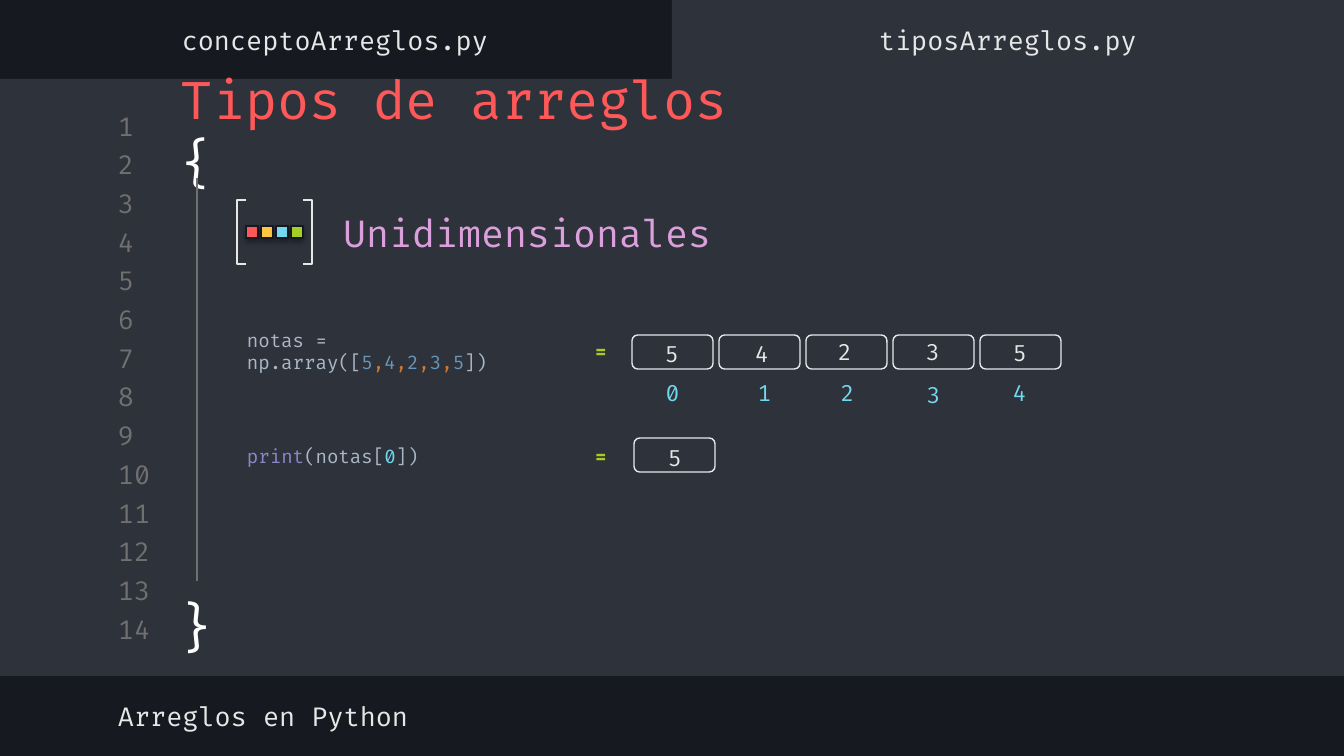
"""Builds a code-editor style slide on one-dimensional arrays in Python."""
from lxml import etree
from pptx import Presentation
from pptx.dml.color import RGBColor
from pptx.enum.shapes import MSO_CONNECTOR, MSO_SHAPE
from pptx.enum.text import MSO_ANCHOR, PP_ALIGN
from pptx.oxml.ns import qn
from pptx.util import Pt

RECT = MSO_SHAPE.RECTANGLE
CELL = MSO_SHAPE.FLOWCHART_ALTERNATE_PROCESS
OPEN, CLOSE = MSO_SHAPE.LEFT_BRACKET, MSO_SHAPE.RIGHT_BRACKET
LINE = MSO_CONNECTOR.STRAIGHT
LEFT, MID = PP_ALIGN.LEFT, PP_ALIGN.CENTER
TOP, HALF = MSO_ANCHOR.TOP, MSO_ANCHOR.MIDDLE
SCALE = 914400 / 134.4
FONT = "Fira Code"
HUES = {
    "dark": "16191F", "panel": "2E323B", "gray": "707070", "white": "FFFFFF",
    "pale": "E7E7E7", "edge": "E3E9ED", "red": "FF5858", "gold": "FCC642",
    "cyan": "72D9F0", "green": "A5CF27", "pink": "DBA0DB", "code": "A9B7C6",
    "num": "6897BB", "comma": "CC7832", "call": "8888C6",
}


def px(*nums):
    return [round(n * SCALE) for n in nums]


def hue(name):
    return RGBColor.from_string(HUES[name])


def write(frame, runs, size=14, color="pale", bold=False, align=LEFT,
          anchor=HALF, pad=13):
    frame.word_wrap = True
    frame.vertical_anchor = anchor
    frame.margin_left, frame.margin_right = px(13, 13)
    frame.margin_top, frame.margin_bottom = px(pad, pad)
    para = frame.paragraphs[0]
    para.alignment = align
    if isinstance(runs, str):
        runs = [(runs, color)]
    for text, tint in runs:
        run = para.add_run()
        run.text = text
        font = run.font
        font.name, font.size, font.bold = FONT, Pt(size), bold
        font.color.rgb = hue(tint)


class Pen:
    def __init__(self, slide):
        self.slide = slide
        self.shapes = slide.shapes

    def back(self, color):
        fill = self.slide.background.fill
        fill.solid()
        fill.fore_color.rgb = hue(color)

    def shape(self, kind, *box, fill=None, line=None, width=0.75):
        item = self.shapes.add_shape(kind, *px(*box))
        item.shadow.inherit = False
        if fill:
            item.fill.solid()
            item.fill.fore_color.rgb = hue(fill)
        else:
            item.fill.background()
        if line:
            item.line.color.rgb = hue(line)
            item.line.width = Pt(width)
        else:
            item.line.fill.background()
        return item

    def block(self, *box, fill):
        item = self.shape(RECT, *box, fill=fill, line="dark", width=1)
        effect = item.element.spPr.find(qn("a:effectLst"))
        cast = etree.SubElement(effect, qn("a:outerShdw"), blurRad="39370",
                                dist="20320", dir="5400000", rotWithShape="0")
        tint = etree.SubElement(cast, qn("a:srgbClr"), val="000000")
        etree.SubElement(tint, qn("a:alpha"), val="38000")

    def bracket(self, kind, *box):
        self.shape(kind, *box, line="pale").adjustments[0] = 0

    def text(self, runs, *box, **style):
        item = self.shapes.add_textbox(*px(*box))
        write(item.text_frame, runs, **style)
        return item

    def rule(self, *ends, color, goal):
        item = self.shapes.add_connector(LINE, *px(*ends))
        item.end_connect(goal, 0)
        item.line.color.rgb = hue(color)
        item.line.width = Pt(0.75)
        etree.SubElement(item.element.spPr, qn("a:effectLst"))


def main():
    deck = Presentation()
    deck.slide_width, deck.slide_height = px(1344, 756)
    pen = Pen(deck.slides.add_slide(deck.slide_layouts[6]))
    pen.back("dark")
    pen.shape(RECT, 0, 79, 1344, 597, fill="panel")
    pen.shape(RECT, 672, 0, 672, 87, fill="panel")
    for row in range(14):
        pen.text(str(row + 1), 105, 110 + row * 387 // 10, 63, 32, color="gray")

    pen.text([("Tipos de arreglos ", "red"), ("{", "white")],
             168, 91, 625, 78, size=28)
    pen.text("Arreglos en Python", 105, 690, 715, 52)
    pen.text("conceptoArreglos.py", -1, 14, 672, 52, align=MID)
    pen.text("tiposArreglos.py", 672, 14, 672, 52, align=MID)
    brace = pen.text("}", 160, 581, 74, 90, size=28, color="white",
                     align=MID, anchor=TOP)
    pen.rule(197, 178, 197, 581, color="gray", goal=brace)

    pen.bracket(CLOSE, 303, 200, 9, 64)
    pen.bracket(OPEN, 237, 200, 9, 64)
    for i, fill in enumerate(["red", "gold", "cyan", "green"]):
        pen.block(246 + 15 * i, 226, 12, 12, fill=fill)
    pen.text("Unidimensionales", 330, 190, 406, 86, size=20, color="pink")

    digit = dict(size=12, anchor=TOP, pad=7)
    spots = [
        ("5", 652, 333, 626, 380), ("4", 742, 333, 718, 380),
        ("2", 825, 331, 801, 380), ("3", 913, 331, 887, 382),
        ("5", 1000, 332, 973, 380),
    ]
    for i, (value, left, top, side, base) in enumerate(spots):
        pen.shape(CELL, 632 + 87 * i, 335, 81, 34, line="edge")
        pen.text(value, left, top, 89, 41, **digit)
        pen.text(str(i), side, base, 93, 26, size=12, color="cyan", align=MID)
    pen.shape(CELL, 634, 438, 81, 34, line="edge")
    pen.text("5", 655, 437, 89, 41, **digit)

    array = [("notas = np.array([", "code")]
    for i, spot in enumerate(spots):
        if i:
            array.append((",", "comma"))
        array.append((spot[0], "num"))
    array.append(("])", "code"))
    show = [("print", "call"), ("(notas[", "code"), ("0", "cyan"), ("])", "code")]
    for runs, top, width in [(array, 333, 352), (show, 438, 208)]:
        pen.text(runs, 234, top, width, 36, size=10, pad=7)
        pen.text("=", 582, top, 37, 36, size=10, color="green", bold=True, pad=7)
    deck.save("out.pptx")


if __name__ == "__main__":
    main()
